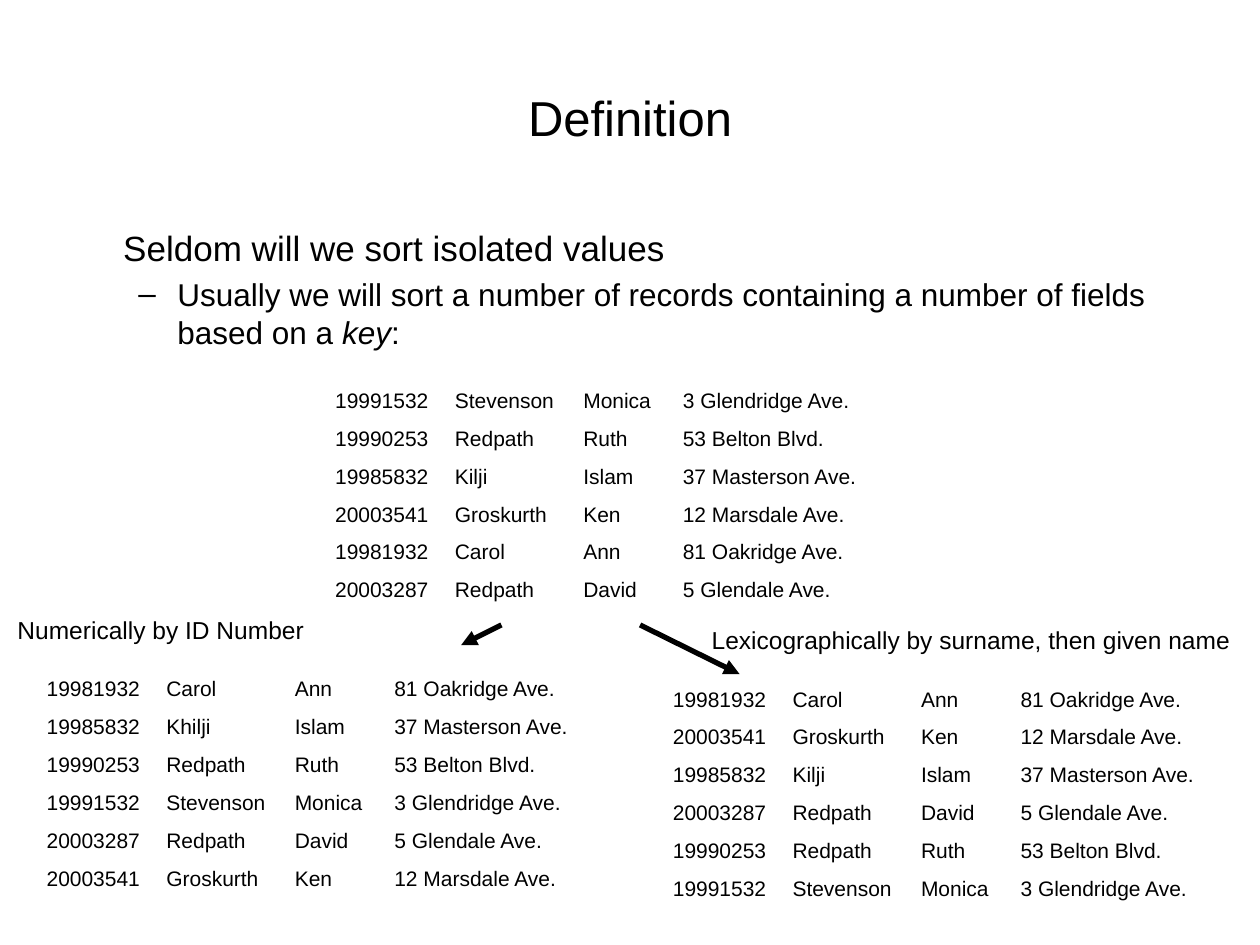
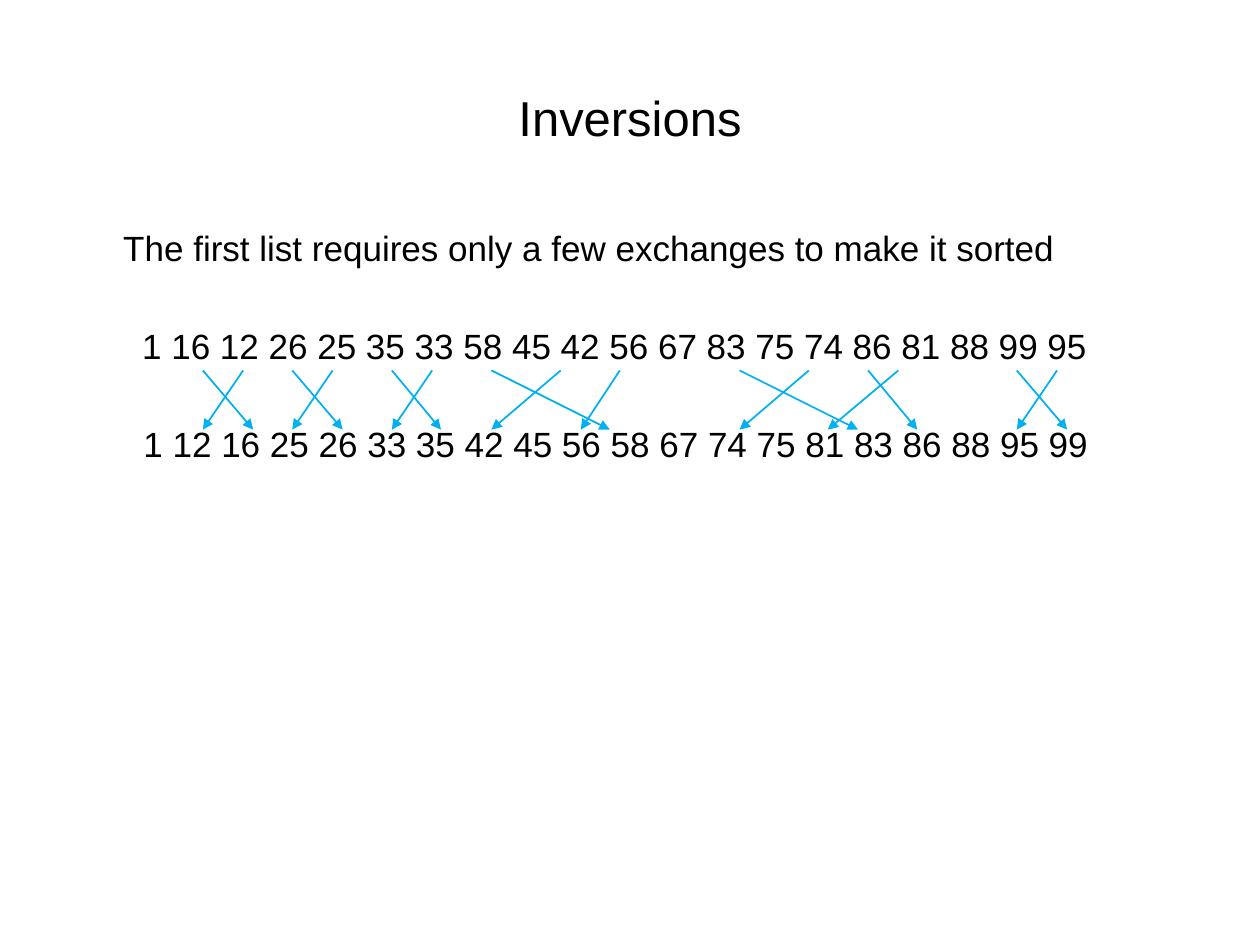
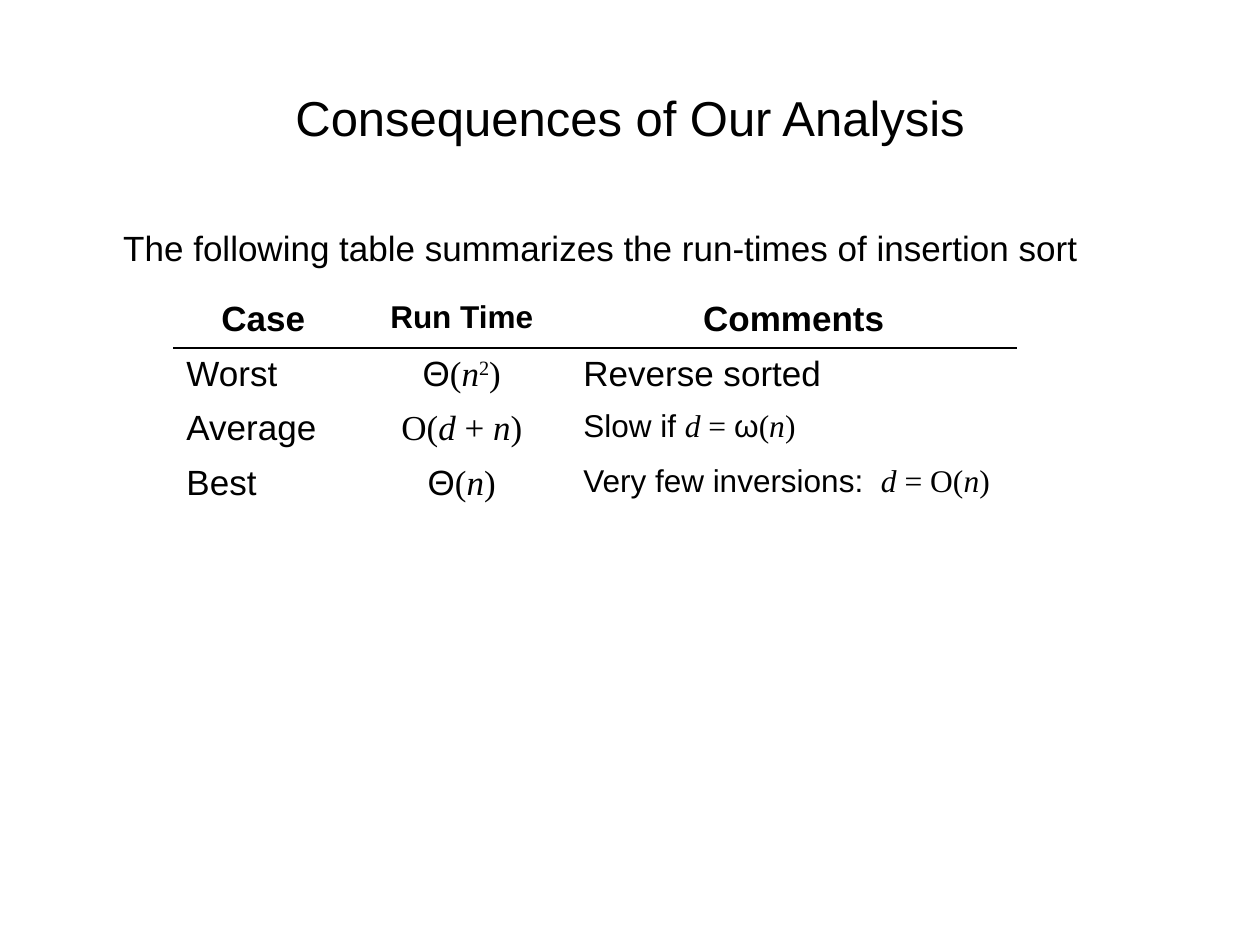
from lxml import etree
from pptx import Presentation
from pptx.dml.color import RGBColor
from pptx.enum.shapes import MSO_CONNECTOR
from pptx.enum.text import MSO_ANCHOR, MSO_AUTO_SIZE, PP_ALIGN
from pptx.oxml import parse_xml
from pptx.oxml.ns import nsdecls, qn
from pptx.util import Emu, Pt

# Shared look; lengths are px at 100 to the inch
PX = 9144
BLACK = RGBColor(0x00, 0x00, 0x00)
CYAN = RGBColor(0x00, 0xB0, 0xF0)
SANS = "Arial"
SERIF = "Times New Roman"
MATH = {"name": SERIF}
VARIABLE = {"name": SERIF, "italic": True}
BOLD = {"bold": True}
STRAIGHT = MSO_CONNECTOR.STRAIGHT
CENTER, LEFT = PP_ALIGN.CENTER, PP_ALIGN.LEFT
MIDDLE = MSO_ANCHOR.MIDDLE
FIT_SHAPE = MSO_AUTO_SIZE.SHAPE_TO_FIT_TEXT
TITLE_BOX = [n * PX for n in (50, 30, 900, 125)]
BODY_BOX = [n * PX for n in (50, 175, 900, 495)]


def write(paragraph, size, *pieces):
    """Add runs; a piece is (text, format values)."""
    for text, values in pieces:
        run = paragraph.add_run()
        run.text = text
        font = run.font
        font.color.rgb = BLACK
        for key, value in {"name": SANS, "size": Pt(size), **values}.items():
            setattr(font, key, value)


def add_arrow(slide, start, end, color, width):
    points = [n * PX for n in (*start, *end)]
    arrow = slide.shapes.add_connector(STRAIGHT, *points)
    arrow.line.color.rgb = color
    arrow.line.width = Pt(width)
    etree.SubElement(arrow.line._get_or_add_ln(), qn("a:tailEnd"), type="triangle")
    etree.SubElement(arrow._element.spPr, qn("a:effectLst"))


prs = Presentation()
prs.slide_width, prs.slide_height = Emu(1000 * PX), Emu(750 * PX)

# Title and opening line of every slide
OPENINGS = [
    ("Definition", "Seldom will we sort isolated values"),
    ("Inversions", "The first list requires only a few exchanges to make it sorted"),
    ("Consequences of Our Analysis",
     "The following table summarizes the run-times of insertion sort"),
]
slides, bodies = [], []
for heading, opening in OPENINGS:
    slide = prs.slides.add_slide(prs.slide_layouts[5])
    title = slide.shapes.title
    title.left, title.top, title.width, title.height = TITLE_BOX
    title.text_frame.vertical_anchor = MIDDLE
    title.text_frame.paragraphs[0].alignment = CENTER
    write(title.text_frame.paragraphs[0], 28, (heading, {}))

    body = slide.shapes.add_textbox(*BODY_BOX).text_frame
    body.word_wrap = True
    body.paragraphs[0]._p.get_or_add_pPr().set("marL", str(38 * PX))
    write(body.paragraphs[0], 20, (opening, {}))
    slides.append(slide)
    bodies.append(body)
definition, inversions, consequences = slides

# Definition: dashed point about keys
point = bodies[0].add_paragraph()
point.space_before = Pt(3.6)
point_format = point._p.get_or_add_pPr()
point_format.set("marL", str(81 * PX))
point_format.set("indent", str(-31 * PX))
etree.SubElement(point_format, qn("a:buFont"), typeface=SANS)
etree.SubElement(point_format, qn("a:buChar"), char="–")
write(point, 18,
      ("Usually we will sort a number of records containing a number of fields"
       " based on a ", {}),
      ("key", {"italic": True}), (":", {}))

# Definition: unsorted records and the two sorted orders
RECORDS = [
    ("19991532", "Stevenson", "Monica", "3 Glendridge Ave."),
    ("19990253", "Redpath", "Ruth", "53 Belton Blvd."),
    ("19985832", "Kilji", "Islam", "37 Masterson Ave."),
    ("20003541", "Groskurth", "Ken", "12 Marsdale Ave."),
    ("19981932", "Carol", "Ann", "81 Oakridge Ave."),
    ("20003287", "Redpath", "David", "5 Glendale Ave."),
]
by_id = [(number, surname.replace("Kilji", "Khilji"), given, address)
         for number, surname, given, address in sorted(RECORDS)]
by_name = sorted(RECORDS, key=lambda record: record[1:3])
FIELD_WIDTHS = (95, 102, 79, 165)

record_tables = [(256, 304, RECORDS), (27, 533, by_id), (524, 541, by_name)]
tables = [(definition, left, top, FIELD_WIDTHS, 30,
           [[(LEFT, 12, [(field, {})]) for field in record] for record in records])
          for left, top, records in record_tables]

# Consequences: run-times of insertion sort
tables.append((consequences, 138, 233, (142, 173, 354), 43, [
    [(CENTER, 20, [("Case", BOLD)]),
     (CENTER, 18, [("Run Time", BOLD)]),
     (CENTER, 20, [("Comments", BOLD)])],
    [(LEFT, 20, [("Worst", {})]),
     (CENTER, 20, [("Θ", {}), ("(", MATH), ("n", VARIABLE), ("2", MATH), (")", MATH)]),
     (LEFT, 20, [("Reverse sorted", {})])],
    [(LEFT, 20, [("Average", {})]),
     (CENTER, 20, [("O(", MATH), ("d", VARIABLE), (" + ", MATH), ("n", VARIABLE),
                   (")", MATH)]),
     (LEFT, 18, [("Slow if ", {}), ("d", VARIABLE), (" = ", MATH), ("ω", {}),
                 ("(", MATH), ("n", VARIABLE), (")", MATH)])],
    [(LEFT, 20, [("Best", {})]),
     (CENTER, 20, [("Θ", {}), ("(", MATH), ("n", VARIABLE), (")", MATH)]),
     (LEFT, 18, [("Very few inversions:  ", {}), ("d", VARIABLE), (" = O(", MATH),
                 ("n", VARIABLE), (")", MATH)])],
]))

# Draw all tables without fills or banding
for slide, left, top, widths, row_height, rows in tables:
    table = slide.shapes.add_table(
        len(rows), len(widths), left * PX, top * PX,
        sum(widths) * PX, len(rows) * row_height * PX).table
    table.first_row = table.horz_banding = False
    for column, width in zip(table.columns, widths):
        column.width = Emu(width * PX)
    for r, row in enumerate(rows):
        for c, (alignment, size, pieces) in enumerate(row):
            cell = table.cell(r, c)
            cell.fill.background()
            paragraph = cell.text_frame.paragraphs[0]
            paragraph.alignment = alignment
            write(paragraph, size, *pieces)

# Consequences: squared exponent and the rule under the header
exponent = table.cell(1, 1).text_frame.paragraphs[0].runs[3]
exponent._r.get_or_add_rPr().set("baseline", "30000")
for r, side in enumerate(("lnB", "lnT")):
    for c in range(len(table.columns)):
        rule = parse_xml(
            f'<a:{side} {nsdecls("a")} w="12700"><a:solidFill>'
            f'<a:srgbClr val="{BLACK}"/></a:solidFill></a:{side}>')
        table.cell(r, c)._tc.get_or_add_tcPr().insert(0, rule)

# Definition: arrows and labels of the two orders
ORDERS = [
    ((398, 496), (366, 512), (4, 483, 249, 34), "Numerically by ID Number"),
    ((508, 496), (587, 535), (555, 491, 434, 34),
     "Lexicographically by surname, then given name"),
]
for start, end, label_box, label in ORDERS:
    add_arrow(definition, start, end, BLACK, 3)
    label_frame = definition.shapes.add_textbox(*[n * PX for n in label_box]).text_frame
    label_frame.word_wrap = False
    label_frame.auto_size = FIT_SHAPE
    write(label_frame.paragraphs[0], 14, (label, {}))

# Inversions: the list before and after sorting
NUMBERS = [1, 16, 12, 26, 25, 35, 33, 58, 45, 42, 56, 67, 83, 75, 74, 86, 81, 88, 99, 95]
for numbers, indent in ((NUMBERS, 53), (sorted(NUMBERS), 54)):
    number_line = bodies[1].add_paragraph()
    number_line.space_before = Pt(32)
    number_line._p.get_or_add_pPr().set("marL", str(indent * PX))
    write(number_line, 20, (" ".join(map(str, numbers)), {}))

# Inversions: moves from the first list to the second
MOVES = [
    (193, 161), (161, 201), (264, 232), (232, 272), (343, 311), (311, 350),
    (445, 390), (390, 484), (492, 461), (642, 587), (587, 681), (713, 657),
    (839, 807), (807, 847), (689, 728),
]
for start_x, end_x in MOVES:
    add_arrow(inversions, (start_x, 294), (end_x, 341), CYAN, 1)

prs.save("out.pptx")
